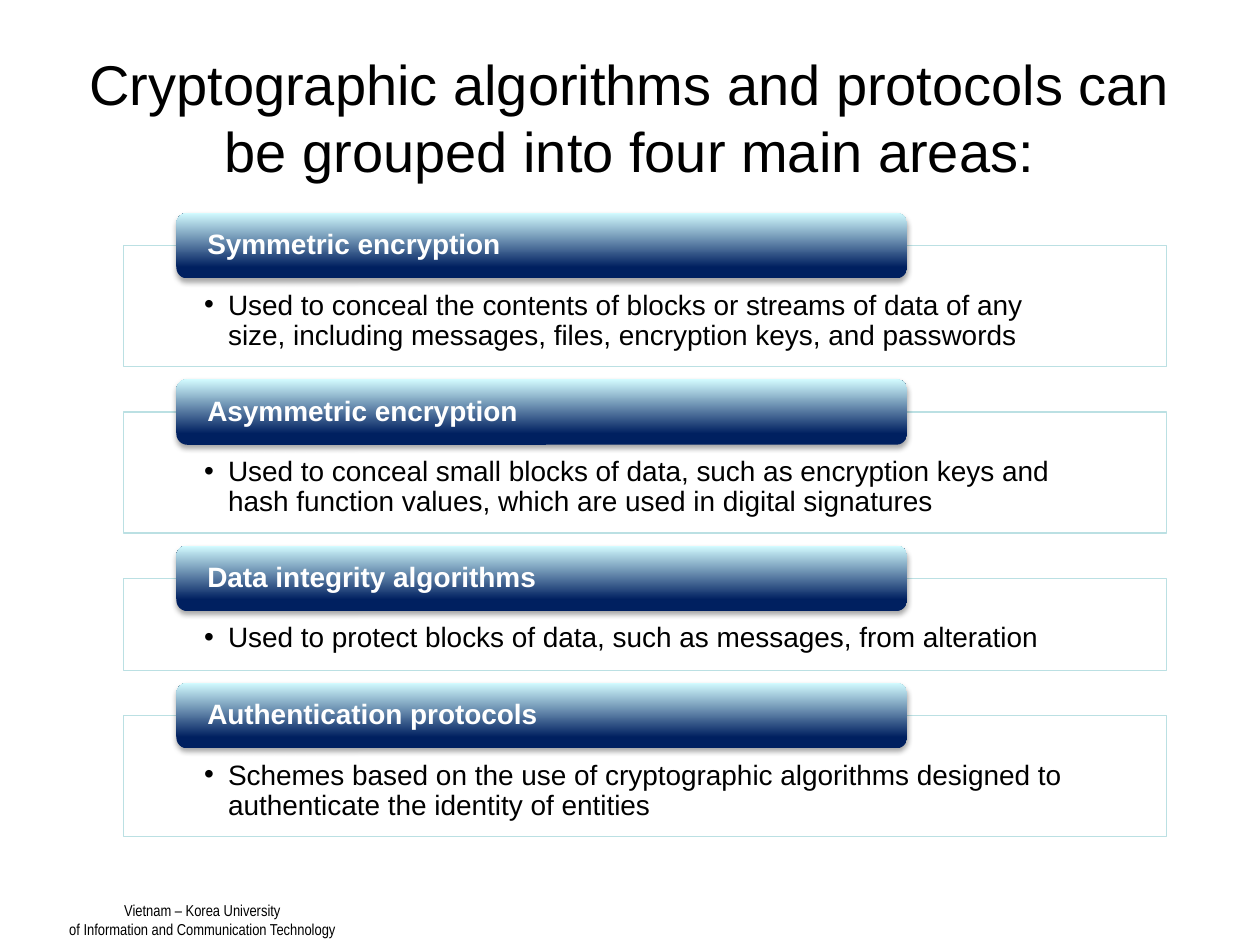
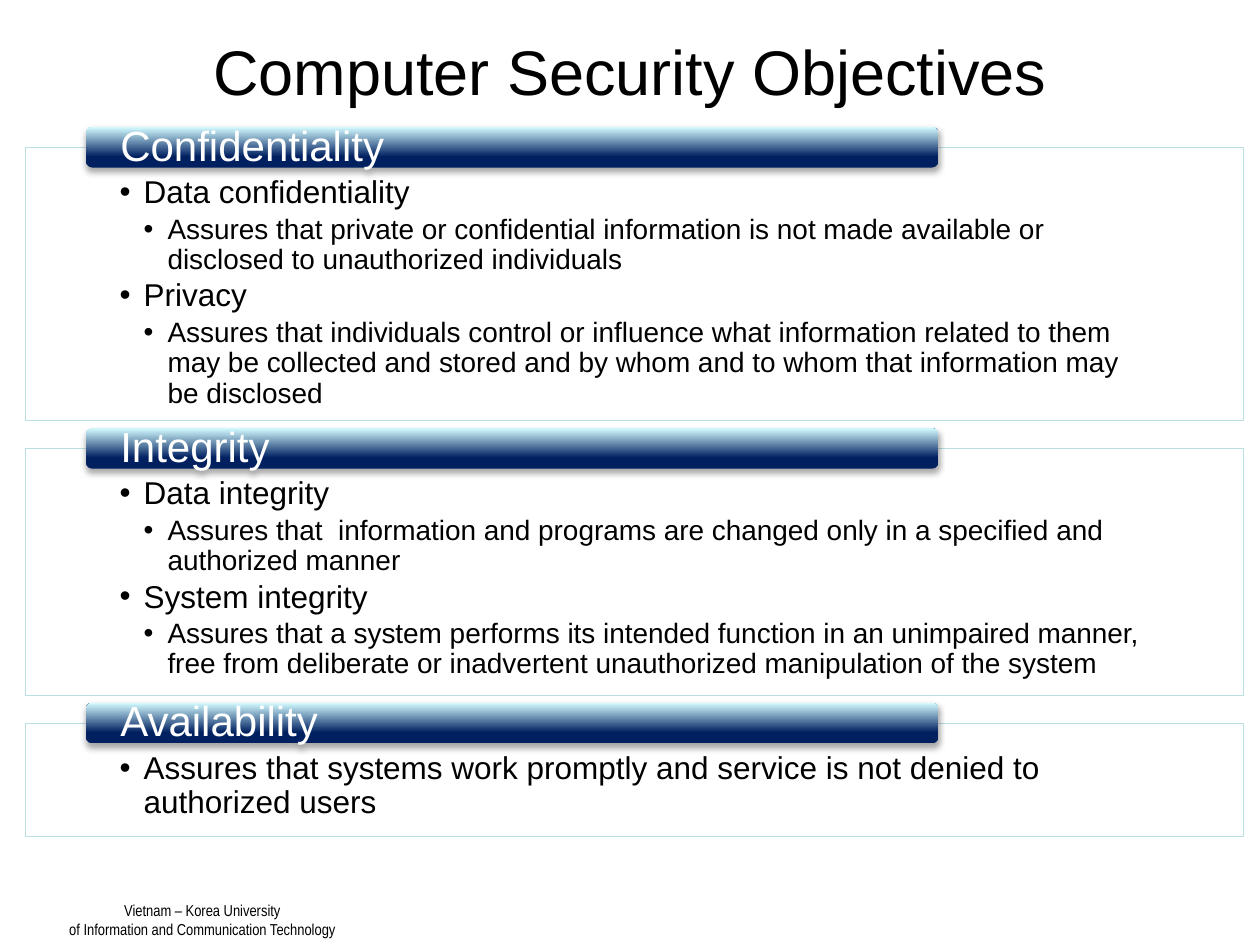
"""Build two slides of headed panels on cryptography and security objectives."""
from dataclasses import dataclass

from lxml.etree import SubElement
from pptx import Presentation
from pptx.dml.color import RGBColor
from pptx.enum.shapes import MSO_SHAPE as Preset
from pptx.enum.text import MSO_ANCHOR as Anchor, MSO_AUTO_SIZE as AutoSize, PP_ALIGN as Align
from pptx.oxml.ns import qn
from pptx.util import Inches, Length, Pt

BLACK = RGBColor(0x00, 0x00, 0x00)
WHITE = RGBColor(0xFF, 0xFF, 0xFF)
NAVY = RGBColor(0x00, 0x20, 0x60)
ICE = RGBColor(0xD3, 0xFB, 0xFF)
PALE_TEAL = RGBColor(0xBB, 0xE0, 0xE3)
FONT, FOOTER_FONT = "Arial", "Arial Narrow"
COLUMNS, ROWS = 100, 75
SLIDE_WIDTH, SLIDE_HEIGHT = Inches(10), Inches(7.5)
TITLE_ONLY_LAYOUT = 5
BULLET_INDENT = 1.9
FOOTER_LINES = ("Vietnam – Korea University", "of Information and Communication Technology")


@dataclass(frozen=True)
class Box:
    """A rectangle in grid columns and rows."""
    left: float
    top: float
    width: float
    height: float


@dataclass(frozen=True)
class Bullet:
    """A list line with its level and text size."""
    text: str
    size: int = 16
    level: int = 1


@dataclass(frozen=True)
class Panel:
    """A heading, the rows its frame takes, and its list."""
    heading: str
    rows: float
    bullets: tuple[Bullet, ...]


@dataclass(frozen=True)
class PanelStyle:
    """The measures shared by all panels of one slide."""
    left: float
    width: float
    top: float
    gap: float
    insets: tuple[float, float, float, float]
    header_left: float
    header_width: float
    header_rows: float
    header_inset: float
    header_size: int
    header_bold: bool
    navy_stop: float


@dataclass(frozen=True)
class PanelSlide:
    """A title above a stack of panels."""
    title: str
    title_box: Box
    title_size: int
    style: PanelStyle
    panels: tuple[Panel, ...]


AREAS = PanelSlide(
    "Cryptographic algorithms and protocols can be grouped into four main areas:",
    Box(5, 3, 90, 12.5), 32,
    PanelStyle(left=9.8, width=82.8, top=19.5, gap=1, insets=(6.4, 3.6, 6.4, 1.2),
               header_left=14, header_width=58, header_rows=5.2, header_inset=2.2,
               header_size=16, header_bold=True, navy_stop=0.17),
    (
        Panel("Symmetric encryption", 9.6, (Bullet(
            "Used to conceal the contents of blocks or streams of data of any size, "
            "including messages, files, encryption keys, and passwords"),)),
        Panel("Asymmetric encryption", 9.6, (Bullet(
            "Used to conceal small blocks of data, such as encryption keys and hash "
            "function values, which are used in digital signatures"),)),
        Panel("Data integrity algorithms", 7.3, (Bullet(
            "Used to protect blocks of data, such as messages, from alteration"),)),
        Panel("Authentication protocols", 9.6, (Bullet(
            "Schemes based on the use of cryptographic algorithms designed to "
            "authenticate the identity of entities"),)),
    ),
)

OBJECTIVES = PanelSlide(
    "Computer Security Objectives",
    Box(0, 0.4, 100, 10.3), 36,
    PanelStyle(left=2, width=96.7, top=11.7, gap=0.6, insets=(7.5, 2.3, 7.5, 1.4),
               header_left=6.8, header_width=67.7, header_rows=3.2, header_inset=2.6,
               header_size=24, header_bold=False, navy_stop=0.27),
    (
        Panel("Confidentiality", 21.7, (
            Bullet("Data confidentiality", 18),
            Bullet("Assures that private or confidential information is not made "
                   "available or disclosed to unauthorized individuals", level=2),
            Bullet("Privacy", 18),
            Bullet("Assures that individuals control or influence what information "
                   "related to them may be collected and stored and by whom and to "
                   "whom that information may be disclosed", level=2))),
        Panel("Integrity", 19.6, (
            Bullet("Data integrity", 18),
            Bullet("Assures that  information and programs are changed only in a "
                   "specified and authorized manner", level=2),
            Bullet("System integrity", 18),
            Bullet("Assures that a system performs its intended function in an "
                   "unimpaired manner, free from deliberate or inadvertent "
                   "unauthorized manipulation of the system", level=2))),
        Panel("Availability", 9, (Bullet(
            "Assures that systems work promptly and service is not denied to "
            "authorized users", 18),)),
    ),
)


def across(columns: float) -> Length:
    """Turn grid columns into a length."""
    return Length(round(SLIDE_WIDTH * columns / COLUMNS))


def down(rows: float) -> Length:
    """Turn grid rows into a length."""
    return Length(round(SLIDE_HEIGHT * rows / ROWS))


def place(box: Box) -> tuple[Length, Length, Length, Length]:
    """Return left, top, width and height of a box."""
    return across(box.left), down(box.top), across(box.width), down(box.height)


def set_frame(frame, insets: tuple[float, float, float, float], anchor: Anchor) -> None:
    """Set the insets, anchor and wrapping of a text frame."""
    left, top, right, bottom = insets
    frame.margin_left, frame.margin_right = across(left), across(right)
    frame.margin_top, frame.margin_bottom = down(top), down(bottom)
    frame.vertical_anchor = anchor
    frame.word_wrap = True


def write(paragraph, text: str, *, size: int, color: RGBColor = BLACK, font: str = FONT,
          bold: bool = False, align: Align = Align.LEFT, line_spacing: float = 1.0) -> None:
    """Write one formatted run into a paragraph."""
    paragraph.alignment = align
    paragraph.line_spacing = line_spacing
    run = paragraph.add_run()
    run.text = text
    run.font.name, run.font.size, run.font.bold = font, Pt(size), bold
    run.font.color.rgb = color


def next_paragraph(frame, index: int):
    """Return the first paragraph, or a new one after it."""
    return frame.add_paragraph() if index else frame.paragraphs[0]


def add_bullet(paragraph, level: int) -> None:
    """Give a paragraph a round bullet and a hanging indent."""
    paragraph.level = level
    properties = paragraph._p.get_or_add_pPr()
    properties.set("marL", str(across(BULLET_INDENT * level)))
    properties.set("indent", str(-across(BULLET_INDENT)))
    SubElement(properties, qn("a:buFont"), typeface=FONT)
    SubElement(properties, qn("a:buChar"), char="•")


def add_shadow(shape) -> None:
    """Add a soft shadow below a shape."""
    effects = shape._element.spPr.find(qn("a:effectLst"))
    shadow = SubElement(effects, qn("a:outerShdw"), blurRad=str(Pt(3.1)), dist=str(Pt(1.8)),
                        dir="5400000", rotWithShape="0")
    color = SubElement(shadow, qn("a:srgbClr"), val=str(BLACK))
    SubElement(color, qn("a:alpha"), val="35000")


def add_frame(slide, box: Box, style: PanelStyle, bullets: tuple[Bullet, ...]) -> None:
    """Draw the outlined frame of a panel with its list."""
    shape = slide.shapes.add_shape(Preset.RECTANGLE, *place(box))
    shape.shadow.inherit = False
    shape.fill.solid()
    shape.fill.fore_color.rgb = WHITE
    SubElement(shape._element.spPr.find(".//" + qn("a:srgbClr")), qn("a:alpha"), val="90000")
    shape.line.color.rgb = PALE_TEAL
    shape.line.width = Pt(0.75)
    set_frame(shape.text_frame, style.insets, Anchor.TOP)
    for index, bullet in enumerate(bullets):
        paragraph = next_paragraph(shape.text_frame, index)
        add_bullet(paragraph, bullet.level)
        paragraph.space_after = Pt(0.15 * bullet.size)
        write(paragraph, bullet.text, size=bullet.size, line_spacing=0.9)


def add_header(slide, box: Box, style: PanelStyle, heading: str) -> None:
    """Draw the gradient bar of a panel with its heading."""
    shape = slide.shapes.add_shape(Preset.ROUNDED_RECTANGLE, *place(box))
    shape.shadow.inherit = False
    add_shadow(shape)
    shape.line.fill.background()
    shape.fill.gradient()
    shape.fill.gradient_angle = 90
    stops = ((style.navy_stop, NAVY), (1.0, ICE))
    for stop, (position, color) in zip(shape.fill.gradient_stops, stops):
        stop.position = position
        stop.color.rgb = color
    set_frame(shape.text_frame, (style.header_inset, 0, style.header_inset, 0), Anchor.MIDDLE)
    write(shape.text_frame.paragraphs[0], heading, size=style.header_size, color=WHITE,
          bold=style.header_bold, line_spacing=0.9)


def add_panels(slide, style: PanelStyle, panels: tuple[Panel, ...]) -> None:
    """Stack panels, each header straddling the top edge of its frame."""
    top = style.top
    rise = style.header_rows / 2
    for panel in panels:
        add_frame(slide, Box(style.left, top, style.width, panel.rows), style, panel.bullets)
        header = Box(style.header_left, top - rise, style.header_width, style.header_rows)
        add_header(slide, header, style, panel.heading)
        top += panel.rows + style.gap + rise


def add_title(slide, content: PanelSlide) -> None:
    """Move and fill the title placeholder."""
    title = slide.shapes.title
    title.left, title.top, title.width, title.height = place(content.title_box)
    set_frame(title.text_frame, (1, 0.5, 1, 0.5), Anchor.MIDDLE)
    title.text_frame.auto_size = AutoSize.NONE
    write(title.text_frame.paragraphs[0], content.title, size=content.title_size,
          align=Align.CENTER)


def add_footer(slide) -> None:
    """Write the two-line footer at the lower left."""
    frame = slide.shapes.add_textbox(*place(Box(4.3, 71, 23.5, 4))).text_frame
    frame.word_wrap = False
    for index, line in enumerate(FOOTER_LINES):
        write(next_paragraph(frame, index), line, size=9, font=FOOTER_FONT,
              align=Align.CENTER)


def main() -> None:
    """Build and save the presentation."""
    presentation = Presentation()
    presentation.slide_width, presentation.slide_height = SLIDE_WIDTH, SLIDE_HEIGHT
    for content in (AREAS, OBJECTIVES):
        slide = presentation.slides.add_slide(presentation.slide_layouts[TITLE_ONLY_LAYOUT])
        add_footer(slide)
        add_title(slide, content)
        add_panels(slide, content.style, content.panels)
    presentation.save("out.pptx")


if __name__ == "__main__":
    main()
